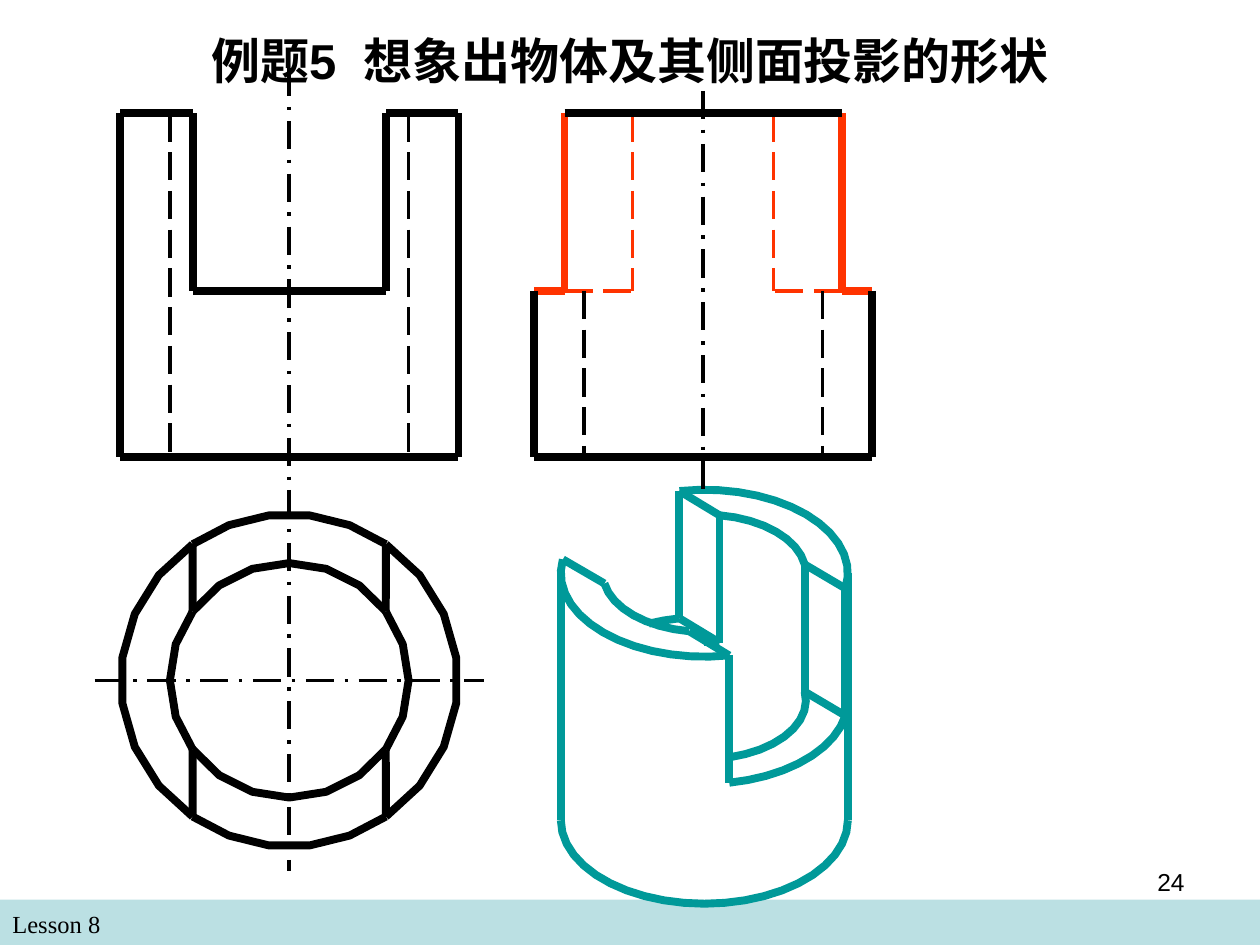
from math import cos, radians, sin

from lxml.etree import SubElement
from pptx import Presentation
from pptx.dml.color import RGBColor
from pptx.enum.dml import MSO_LINE as Dash
from pptx.enum.shapes import MSO_CONNECTOR as Connector, MSO_SHAPE as Shape
from pptx.enum.text import MSO_ANCHOR as Anchor, PP_ALIGN as Align
from pptx.oxml.ns import qn
from pptx.util import Pt

COLORS = {"ink": "000000", "answer": "FF3300", "solid": "009999", "band": "BBE0E3"}
THICK, HAIR = 4.5, 0
HIDDEN = {"width": HAIR, "dash": Dash.LONG_DASH}
AXIS = {"width": HAIR, "dash": Dash.LONG_DASH_DOT}


def rgb(name):
    return RGBColor.from_string(COLORS[name])


def write(frame, text, size=14, font="Arial", bold=False, align=Align.LEFT):
    frame.word_wrap = True
    paragraph = frame.paragraphs[0]
    paragraph.alignment = align
    run = paragraph.add_run()
    run.text = text
    run.font.size, run.font.name, run.font.bold = Pt(size), font, bold
    run.font.color.rgb = rgb("ink")


def on_ellipse(centre, radii, degrees):
    angle = radians(degrees)
    return centre[0] + radii[0] * cos(angle), centre[1] + radii[1] * sin(angle)


class Drawing:
    """Holds the slide, the view being drawn and the current line colour."""

    def __init__(self, slide):
        self.slide = slide
        self.view = None
        self.color = "ink"

    def start_view(self, color="ink"):
        self.view = self.slide.shapes.add_group_shape().shapes
        self.color = color

    def title(self, text, box):
        title = self.slide.shapes.title
        title.left, title.top, title.width, title.height = map(Pt, box)
        title.text_frame.vertical_anchor = Anchor.MIDDLE
        write(title.text_frame, text, size=28, bold=True, align=Align.CENTER)

    def label(self, text, box, **style):
        write(self.slide.shapes.add_textbox(*map(Pt, box)).text_frame, text, **style)

    def band(self, box):
        band = self.slide.shapes.add_shape(Shape.RECTANGLE, *map(Pt, box))
        band.shadow.inherit = False
        band.fill.solid()
        band.fill.fore_color.rgb = rgb("band")
        band.line.fill.background()

    def stroke(self, line, width=THICK, dash=None, color=None):
        line.color.rgb = rgb(color or self.color)
        line.width = Pt(width)
        if dash:
            line.dash_style = dash

    def edge(self, start, end, **style):
        edge = self.view.add_connector(Connector.STRAIGHT, *map(Pt, (*start, *end)))
        SubElement(edge._element.spPr, qn("a:effectLst"))
        self.stroke(edge.line, **style)
        # The outline must come before the effect list
        edge._element.spPr.append(edge._element.spPr.find(qn("a:effectLst")))

    def arc(self, centre, radii, first, last, segments):
        step = (last - first) / segments
        points = [tuple(map(Pt, on_ellipse(centre, radii, first + i * step)))
                  for i in range(segments + 1)]
        builder = self.view.build_freeform(*points[0])
        builder.add_line_segments(points[1:], close=False)
        curve = builder.convert_to_shape()
        curve.shadow.inherit = False
        curve.fill.background()
        self.stroke(curve.line)


TOP, SLOT_FLOOR, BASE = 64.8, 166.3, 261.4
BODY, BORE, SLOT = 96.7, 68.2, 55.1  # half widths


def draw_solid(drawing):
    drawing.start_view("solid")
    axis_x, top, base, depth = 402.5, 327.6, 468.7, 72.7
    outer, inner = (82, 47.7), (58, 33.5)
    rim, floor = (axis_x, top), (axis_x, top + depth)
    # Angles where the slot cuts the outer and inner rims
    cuts = {"back": (-100, -81.4), "right": (10.5, -8.7),
            "front": (80, 98.6), "left": (189.6, 170)}

    for centre, radii, first, last, segments in [
        ((axis_x, base), outer, 180, 0, 22),
        (rim, outer, 10.5, -100, 14),
        (rim, outer, 189.6, 80, 14),
        (rim, inner, -8.7, -81.4, 8),
        (rim, inner, 170, 98.6, 8),
        (floor, outer, 80, 10.5, 9),
        (floor, inner, 75.6, -8.7, 9),
        (floor, outer, -100, -112.7, 2),
        (floor, inner, -81.4, -90, 1),
    ]:
        drawing.arc(centre, radii, first, last, segments)

    for outer_cut, inner_cut in cuts.values():
        drawing.edge(on_ellipse(rim, outer, outer_cut), on_ellipse(rim, inner, inner_cut))
    for side in ("back", "right"):
        outer_cut, inner_cut = cuts[side]
        drawing.edge(on_ellipse(floor, outer, outer_cut), on_ellipse(floor, inner, inner_cut))
        drawing.edge(on_ellipse(rim, inner, inner_cut), on_ellipse(floor, inner, inner_cut))
    for side in ("back", "right", "front"):
        angle = cuts[side][0]
        drawing.edge(on_ellipse(rim, outer, angle), on_ellipse(floor, outer, angle))
    for x in (axis_x - outer[0], axis_x + outer[0]):
        drawing.edge((x, top), (x, base))


def draw_front_view(drawing, axis_x):
    drawing.start_view()
    for side in (-1, 1):
        body, bore, slot = (axis_x + side * half for half in (BODY, BORE, SLOT))
        drawing.edge((bore, TOP), (bore, BASE), **HIDDEN)
        drawing.edge((body, TOP), (body, BASE))
        drawing.edge((body, TOP), (slot, TOP))
        drawing.edge((slot, TOP), (slot, SLOT_FLOOR))
    drawing.edge((axis_x - SLOT, SLOT_FLOOR), (axis_x + SLOT, SLOT_FLOOR))
    drawing.edge((axis_x - BODY, BASE), (axis_x + BODY, BASE))
    drawing.edge((axis_x, 38.9), (axis_x, 277.2), **AXIS)


def draw_top_view(drawing, axis_x, axis_y):
    drawing.start_view()
    centre, outer, inner = (axis_x, axis_y), (96.3, 95), (BORE, 67)
    for radii, cut, side_segments, end_segments in [(outer, 55, 7, 5), (inner, 36, 4, 6)]:
        for turn in (0, 180):
            drawing.arc(centre, radii, turn - cut, turn + cut, side_segments)
            drawing.arc(centre, radii, turn + cut, turn + 180 - cut, end_segments)
    for outer_cut, inner_cut in [(55, 36), (125, 144), (235, 216), (305, 324)]:
        drawing.edge(on_ellipse(centre, outer, outer_cut), on_ellipse(centre, inner, inner_cut))
    drawing.edge((54, axis_y), (276.5, axis_y), **AXIS)
    drawing.edge((axis_x, 280), (axis_x, 497.5), **AXIS)


def draw_side_view(drawing, axis_x):
    drawing.start_view()
    flat_half, slot_bore_half = 79.2, 40.3
    drawing.edge((axis_x, 52), (axis_x, 280), **AXIS)
    for side in (-1, 1):
        body, bore, flat, slot_bore = (
            axis_x + side * half for half in (BODY, BORE, flat_half, slot_bore_half))
        drawing.edge((flat, SLOT_FLOOR), (slot_bore, SLOT_FLOOR), color="answer", **HIDDEN)
        drawing.edge((slot_bore, TOP), (slot_bore, SLOT_FLOOR), color="answer", **HIDDEN)
        drawing.edge((bore, SLOT_FLOOR), (bore, BASE), **HIDDEN)
        drawing.edge((flat, SLOT_FLOOR), (body, SLOT_FLOOR), color="answer")
        drawing.edge((flat, TOP), (flat, SLOT_FLOOR), color="answer")
        drawing.edge((body, SLOT_FLOOR), (body, BASE))
    drawing.edge((axis_x - BODY, BASE), (axis_x + BODY, BASE))
    drawing.edge((axis_x - flat_half, TOP), (axis_x + flat_half, TOP))


def main():
    deck = Presentation()
    deck.slide_width, deck.slide_height = Pt(720), Pt(540)
    drawing = Drawing(deck.slides.add_slide(deck.slide_layouts[5]))
    drawing.band((0, 514, 720, 26))
    drawing.label("Lesson 8", (0, 516, 348, 24.5), font="Times New Roman")
    drawing.label("24", (516, 492, 168, 37.5), align=Align.RIGHT)
    drawing.title("例题5  想象出物体及其侧面投影的形状", (54, 3, 612, 62))
    draw_solid(drawing)
    draw_front_view(drawing, 165.3)
    draw_top_view(drawing, 165.3, 388.8)
    draw_side_view(drawing, 401.8)
    deck.save("out.pptx")


if __name__ == "__main__":
    main()
